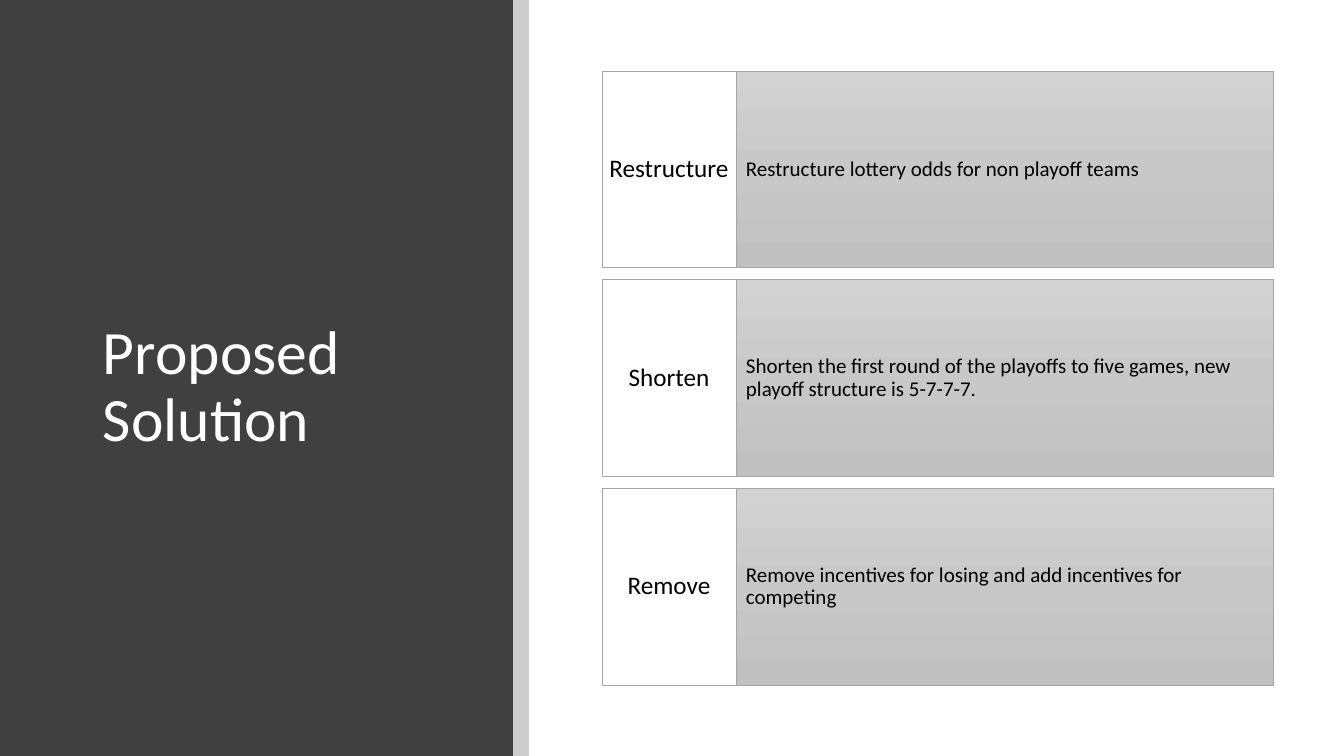
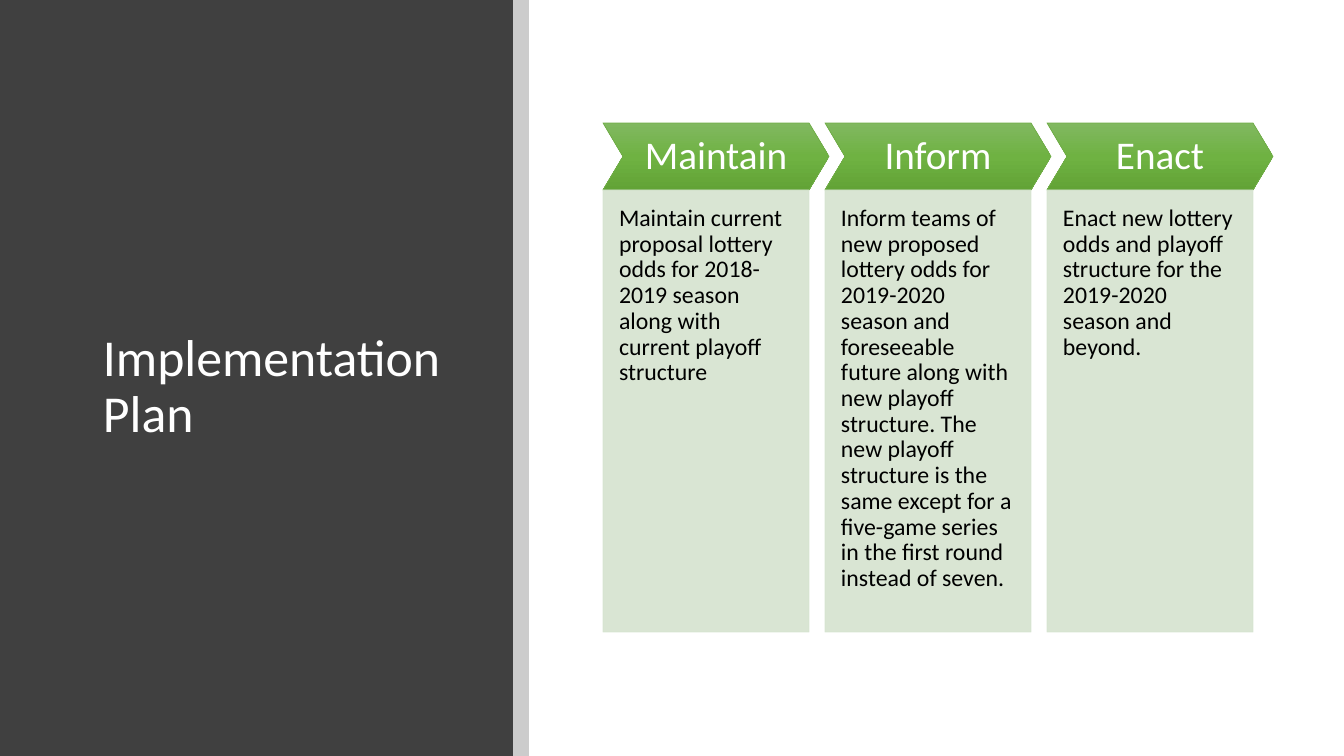
import copy
import pptx
import pptx.util
import pptx.dml.color
import pptx.enum.shapes
import pptx.enum.text
import pptx.oxml
import pptx.oxml.ns

SCALE = 914400 / 100.8  # EMU per pixel
WIDTH, HEIGHT = 1344, 756
FONT = "Calibri"
COLORS = {
    "panel": "404040", "black": "000000", "white": "FFFFFF",
    "row_line": "A5A5A5", "chevron_line": "70AD47", "column": "D5E3CF",
}
GRADIENTS = {
    "row": ["D2D2D2", "C8C8C8", "C0C0C0"],
    "chevron": ["81B861", "6FB242", "62A336"],
}
SHAPE = pptx.enum.shapes.MSO_SHAPE
ANCHOR = pptx.enum.text.MSO_ANCHOR
ALIGN = pptx.enum.text.PP_ALIGN


def px(value):
    return pptx.util.Emu(round(value * SCALE))


def rgb(name):
    return pptx.dml.color.RGBColor.from_string(COLORS[name])


def set_solid(fill, color):
    fill.solid()
    fill.fore_color.rgb = rgb(color)


def set_alpha(sp, percent):
    """Apply one opacity to the fill and, if coloured, the line."""
    for clr in sp._element.spPr.iter(pptx.oxml.ns.qn("a:srgbClr")):
        alpha = pptx.oxml.parse_xml(
            f'<a:alpha {pptx.oxml.ns.nsdecls("a")} val="{percent * 1000}"/>')
        clr.append(alpha)


def set_gradient(sp, colors):
    """Top-to-bottom gradient with evenly spaced stops."""
    sp.fill.gradient()
    sp.fill.gradient_angle = 270
    stops = sp._element.spPr.find(".//" + pptx.oxml.ns.qn("a:gsLst"))
    while len(stops) < len(colors):
        stops.append(copy.deepcopy(stops[0]))
    for i, stop in enumerate(sp.fill.gradient_stops):
        stop.position = i / (len(colors) - 1)
        stop.color.rgb = pptx.dml.color.RGBColor.from_string(colors[i])


def add_box(s, box, fill=None, gradient=None, line=None, kind=SHAPE.RECTANGLE):
    sp = s.shapes.add_shape(kind, *map(px, box))
    sp.shadow.inherit = False
    if gradient:
        set_gradient(sp, GRADIENTS[gradient])
    else:
        set_solid(sp.fill, fill)
    if line:
        set_solid(sp.line.fill, line)
        sp.line.width = pptx.util.Pt(0.5)
    else:
        sp.line.fill.background()
    return sp


def set_text(sp, text, size, insets, color="black", align=ALIGN.LEFT,
             anchor=ANCHOR.MIDDLE):
    tf = sp.text_frame
    tf.word_wrap = True
    tf.vertical_anchor = anchor
    tf.margin_left, tf.margin_top, tf.margin_right, tf.margin_bottom = map(px, insets)
    p = tf.paragraphs[0]
    p.text = text
    p.alignment = align
    p.line_spacing = 0.9
    p.font.name = FONT
    p.font.size = pptx.util.Pt(size)
    p.font.color.rgb = rgb(color)


def add_titled_slide(prs, title, size):
    """Blank slide with the dark title panel and its translucent edge."""
    s = prs.slides.add_slide(prs.slide_layouts[6])
    panel_w, edge_w = 513, 16
    add_box(s, (0, 0, panel_w, HEIGHT), "panel")
    edge = add_box(s, (panel_w, 0, edge_w, HEIGHT), "black")
    set_alpha(edge, 20)
    tb = s.shapes.add_textbox(*map(px, (93, 90, 368, 596)))
    set_text(tb, title, size, (10, 5, 10, 5), "white")
    return s


def add_rows(s, box, rows):
    """Stacked rows: a white label beside a grey description."""
    left, top, width, height = box
    gap, label_w = 12, 134
    row_h = (height - gap * (len(rows) - 1)) / len(rows)
    for i, (label, detail) in enumerate(rows):
        y = top + i * (row_h + gap)
        sp = add_box(s, (left + label_w, y, width - label_w, row_h),
                     gradient="row", line="row_line")
        set_text(sp, detail, 15, (10, 50, 10, 50))
        sp = add_box(s, (left, y, label_w, row_h), "white", line="row_line")
        set_text(sp, label, 18, (6, 19, 6, 19), align=ALIGN.CENTER)


def add_steps(s, box, steps):
    """Columns headed by chevrons whose tips reach past the column."""
    left, top, width, height = box
    gap, head_h, tip = 16, 67, 20
    column_w = (width - tip - gap * (len(steps) - 1)) / len(steps)
    for i, (head, detail) in enumerate(steps):
        x = left + i * (column_w + gap)
        sp = add_box(s, (x, top, column_w + tip, head_h), gradient="chevron",
                     line="chevron_line", kind=SHAPE.CHEVRON)
        sp.adjustments[0] = tip / head_h
        set_text(sp, head, 28, (8, 8, 8, 8), "white", ALIGN.CENTER)
        sp = add_box(s, (x, top + head_h, column_w, height - head_h),
                     "column", line="column")
        set_alpha(sp, 90)
        set_text(sp, detail, 17, (16, 16, 16, 32), anchor=ANCHOR.TOP)


prs = pptx.Presentation()
prs.slide_width, prs.slide_height = px(WIDTH), px(HEIGHT)

# Proposed solution
s = add_titled_slide(prs, "Proposed Solution", 44)
add_rows(s, (602, 71, 671, 614), [
    ("Restructure", "Restructure lottery odds for non playoff teams"),
    ("Shorten", "Shorten the first round of the playoffs to five games, "
                "new playoff structure is 5-7-7-7."),
    ("Remove", "Remove incentives for losing and add incentives for competing"),
])

# Implementation plan
s = add_titled_slide(prs, "Implementation Plan", 37)
add_steps(s, (603, 123, 670, 509), [
    ("Maintain", "Maintain current proposal lottery odds for 2018-2019 season "
                 "along with current playoff structure"),
    ("Inform", "Inform teams of new proposed lottery odds for 2019-2020 season "
               "and foreseeable future along with new playoff structure. The new "
               "playoff structure is the same except for a five-game series in "
               "the first round instead of seven."),
    ("Enact", "Enact new lottery odds and playoff structure for the 2019-2020 "
              "season and beyond."),
])

prs.save("out.pptx")
